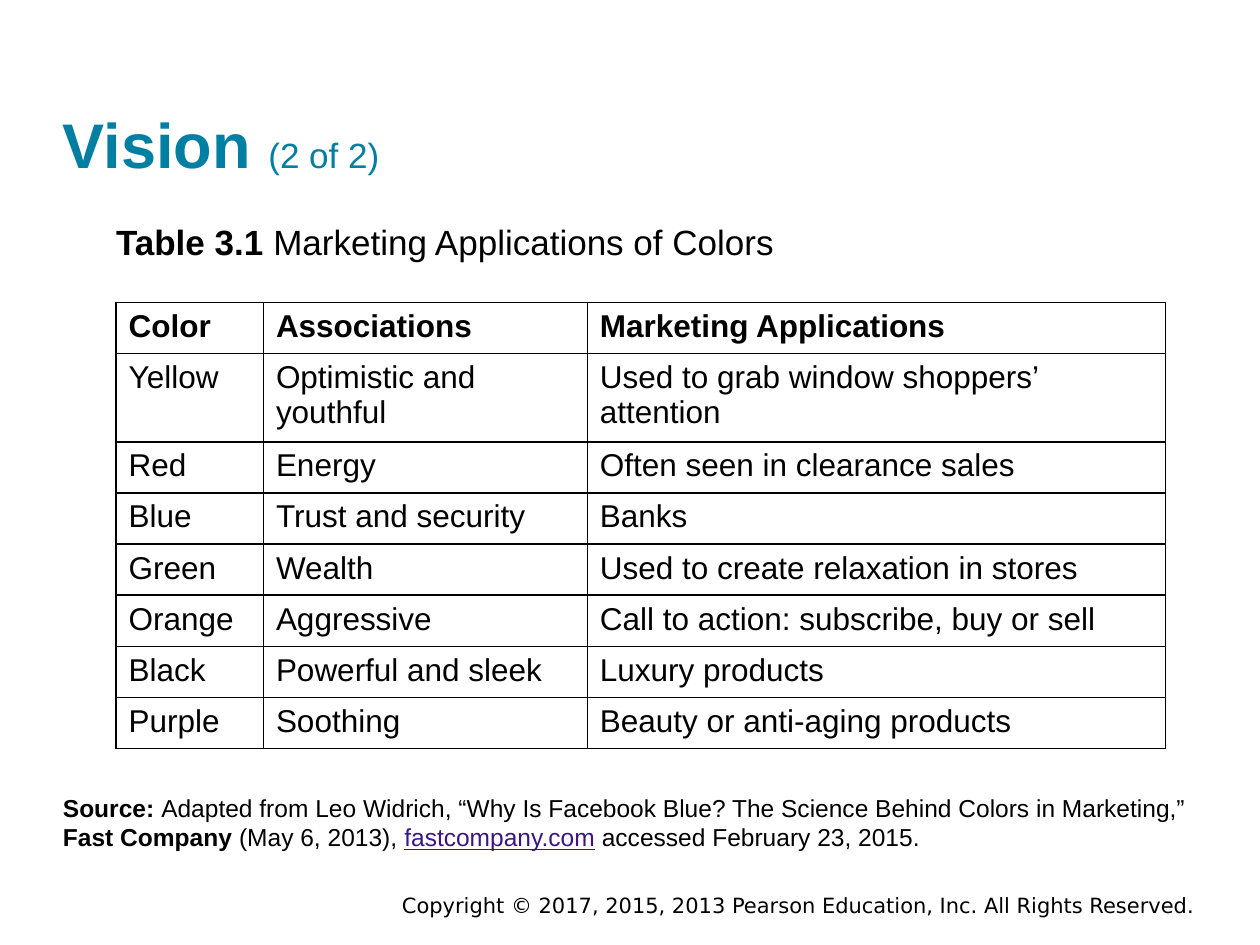
import pptx
import pptx.dml.color
import pptx.enum.text
import pptx.util
from lxml import etree
from pptx.oxml.ns import qn

Cm, Pt = pptx.util.Cm, pptx.util.Pt
Align, Anchor = pptx.enum.text.PP_ALIGN, pptx.enum.text.MSO_ANCHOR


def paint(code):
    return pptx.dml.color.RGBColor.from_string(code)


class Page:
    base = {"name": "Arial", "size": 18, "bold": False, "color": "000000"}

    def __init__(self, deck):
        self.slide = deck.slides.add_slide(deck.slide_layouts[6])

    def run(self, para, text, **form):
        run = para.add_run()
        run.text = text
        form = {**self.base, **form}
        run.font.color.rgb = paint(form.pop("color"))
        form["size"] = Pt(form["size"])
        for key, value in form.items():
            setattr(run.font, key, value)

    def text(self, box, runs, inset=(0, 0), anchor=Anchor.TOP,
             align=Align.LEFT, **form):
        frame = self.slide.shapes.add_textbox(*map(Cm, box)).text_frame
        side, edge = map(Cm, inset)
        style = {"word_wrap": True, "vertical_anchor": anchor,
                 "margin_left": side, "margin_right": side,
                 "margin_top": edge, "margin_bottom": edge}
        for key, value in style.items():
            setattr(frame, key, value)
        para = frame.paragraphs[0]
        para.alignment = align
        for words, extra in runs:
            self.run(para, words, **{**form, **extra})

    def border(self, cell, color="000000", width=1):
        props = cell._tc.get_or_add_tcPr()
        for place, side in enumerate(("lnL", "lnR", "lnT", "lnB")):
            line = etree.Element(qn(f"a:{side}"), w=str(Pt(width)))
            fill = etree.SubElement(line, qn("a:solidFill"))
            etree.SubElement(fill, qn("a:srgbClr"), val=color)
            props.insert(place, line)

    def table(self, left, top, widths, height, rows):
        size = sum(widths), height * len(rows)
        grid = self.slide.shapes.add_table(
            len(rows), len(widths), *map(Cm, (left, top, *size))).table
        grid.first_row = grid.horz_banding = False
        for col, width in zip(grid.columns, widths):
            col.width = Cm(width)
        for r, row in enumerate(rows):
            grid.rows[r].height = Cm(height)
            for c, words in enumerate(row):
                cell = grid.cell(r, c)
                cell.fill.background()
                self.border(cell)
                self.run(cell.text_frame.paragraphs[0], words, bold=r == 0)


def main():
    deck = pptx.Presentation()
    deck.slide_width, deck.slide_height = Cm(25.4), Cm(19.05)
    page = Page(deck)
    bold = {"bold": True}

    # Title
    page.text((1.27, 0.61, 22.86, 3.05),
              [("Vision ", {"size": 36, **bold}), ("(2 of 2)", {})],
              anchor=Anchor.BOTTOM, size=20, color="007FA3")

    # Table and its caption
    page.text((2.34, 4.45, 20.75, 0.84),
              [("Table 3.1 ", bold), ("Marketing Applications of Colors", {})],
              size=20)
    page.table(2.34, 6.1, (2.97, 6.53, 11.66), 1.03, [
        ("Color", "Associations", "Marketing Applications"),
        ("Yellow", "Optimistic and youthful",
         "Used to grab window shoppers’ attention"),
        ("Red", "Energy", "Often seen in clearance sales"),
        ("Blue", "Trust and security", "Banks"),
        ("Green", "Wealth", "Used to create relaxation in stores"),
        ("Orange", "Aggressive", "Call to action: subscribe, buy or sell"),
        ("Black", "Powerful and sleek", "Luxury products"),
        ("Purple", "Soothing", "Beauty or anti-aging products"),
    ])

    # Source note
    page.text((1.27, 15.98, 22.86, 1.3), [
        ("Source: ", bold),
        ("Adapted from Leo Widrich, “Why Is Facebook Blue? "
         "The Science Behind Colors in Marketing,” ", {}),
        ("Fast Company ", bold),
        ("(May 6, 2013), ", {}),
        ("fastcompany.com", {"color": "3C1581", "underline": True}),
        (" accessed February 23, 2015.", {}),
    ], size=14)

    # Copyright line
    page.text((4.45, 17.86, 19.89, 0.76), [
        ("Copyright © 2017, 2015, 2013 Pearson Education, Inc. "
         "All Rights Reserved.", {}),
    ], inset=(0.25, 0.13), align=Align.RIGHT, name="DejaVu Sans", size=12)

    deck.save("out.pptx")


if __name__ == "__main__":
    main()
